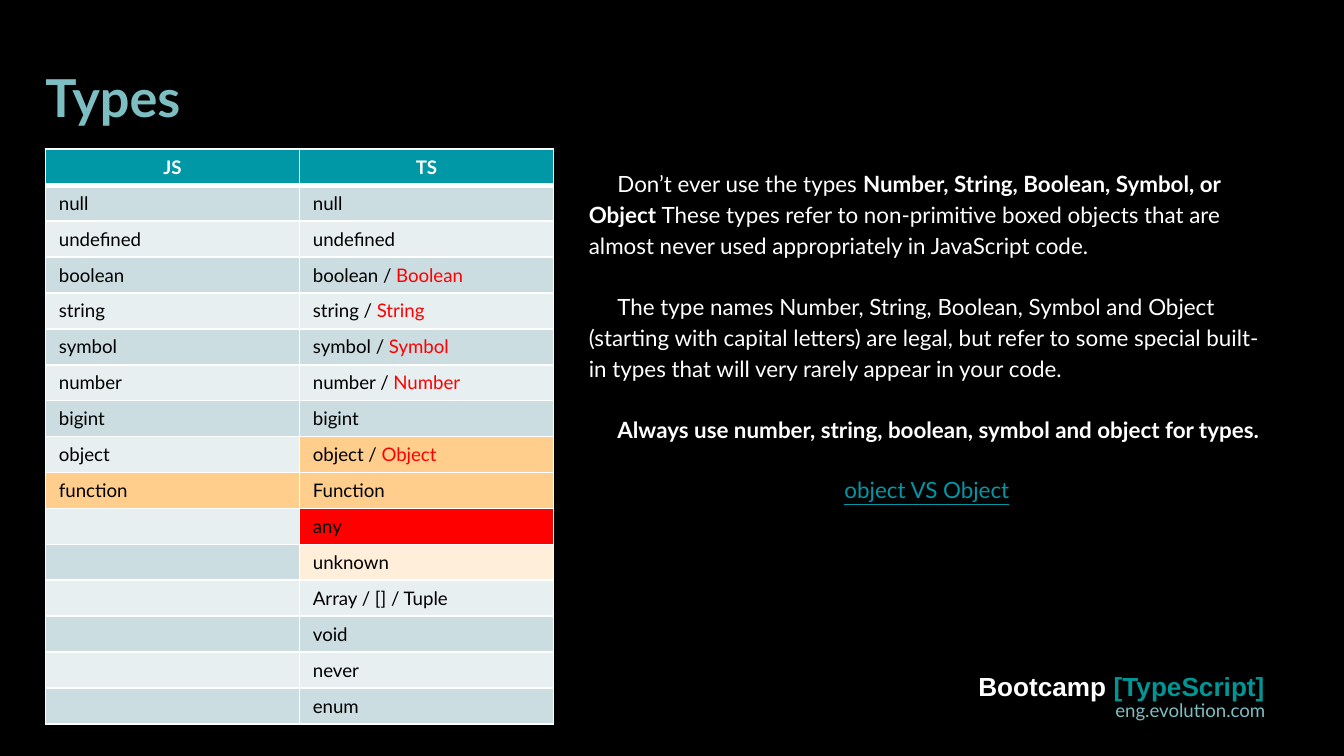
import pptx
import pptx.dml.color
import pptx.enum.text
import pptx.oxml.ns
import pptx.util
from lxml import etree
from pptx.util import Cm

ALIGN = pptx.enum.text.PP_ALIGN
COLORS = {
    "background": "000000", "black": "000000", "white": "FFFFFF",
    "heading": "7DBEC3", "teal": "0097A7", "brand": "009696", "red": "FF0000",
    "band_dark": "CCDDE1", "band_light": "E7EFF1",
    "orange": "FFCD8C", "cream": "FFEED9",
}
HEADERS = ("JS", "TS")
TYPE_ROWS = [
    ("null", "null"), ("undefined", "undefined"),
    ("boolean", "boolean / Boolean"), ("string", "string / String"),
    ("symbol", "symbol / Symbol"), ("number", "number / Number"),
    ("bigint", "bigint"), ("object", "object / Object"),
    ("function", "Function"), ("", "any"), ("", "unknown"),
    ("", "Array / [] / Tuple"), ("", "void"), ("", "never"), ("", "enum"),
]
BOXED_TYPES = {"Boolean", "String", "Symbol", "Number", "Object"}
HIGHLIGHTS = {
    "object / Object": "orange", "function": "orange", "Function": "orange",
    "any": "red", "unknown": "cream",
}
ADVICE = [
    [("Don’t ever use the types ", False),
     ("Number, String, Boolean, Symbol, or Object ", True),
     ("These types refer to non-primitive boxed objects that are "
      "almost never used appropriately in JavaScript code.", False)],
    [("The type names Number, String, Boolean, Symbol and Object "
      "(starting with capital letters) are legal, but refer to some special "
      "built-in types that will very rarely appear in your code.", False)],
    [("Always use number, string, boolean, symbol and object for types.", True)],
]


def rgb(name):
    """Return the named colour."""
    return pptx.dml.color.RGBColor.from_string(COLORS[name])


def write(paragraph, text, size=12, font="Lato", color="white", bold=False,
          underline=False, align=None):
    """Append a formatted run to a paragraph."""
    run = paragraph.add_run()
    run.text = text
    run.font.size = pptx.util.Pt(size)
    run.font.name = font
    run.font.color.rgb = rgb(color)
    run.font.bold = bold
    if underline:
        run.font.underline = True
    if align is not None:
        paragraph.alignment = align


def add_frame(slide, left, top, width, height, inset_x=0, inset_y=0):
    """Add a wrapping text box and return its text frame."""
    frame = slide.shapes.add_textbox(left, top, width, height).text_frame
    frame.word_wrap = True
    frame.margin_left = frame.margin_right = inset_x
    frame.margin_top = frame.margin_bottom = inset_y
    return frame


def set_borders(cell, top, bottom):
    """Draw white borders round a cell with the given top and bottom points."""
    properties = cell._tc.get_or_add_tcPr()
    sides = (("lnL", 1), ("lnR", 1), ("lnT", top), ("lnB", bottom))
    for position, (side, points) in enumerate(sides):
        line = etree.Element(pptx.oxml.ns.qn(f"a:{side}"), w=str(pptx.util.Pt(points)))
        fill = etree.SubElement(line, pptx.oxml.ns.qn("a:solidFill"))
        etree.SubElement(fill, pptx.oxml.ns.qn("a:srgbClr"), val=COLORS["white"])
        properties.insert(position, line)


def fill_type_cell(cell, text):
    """Write a type name, with its boxed counterpart in red."""
    paragraph = cell.text_frame.paragraphs[0]
    primitive, slash, boxed = text.rpartition(" / ")
    if boxed in BOXED_TYPES:
        write(paragraph, primitive + slash, size=10, color="black")
        write(paragraph, boxed, size=10, color="red")
    elif text:
        write(paragraph, text, size=10, color="black")
    else:
        etree.SubElement(paragraph._p, pptx.oxml.ns.qn("a:endParaRPr"), sz="1000")


def add_title(slide, left, top, width, height):
    """Place the slide title."""
    frame = add_frame(slide, left, top, width, height)
    write(frame.paragraphs[0], "Types", size=28, color="heading", bold=True)


def add_type_table(slide, left, top, width, height):
    """Place the comparison of JS and TS types."""
    rows = [HEADERS] + TYPE_ROWS
    table = slide.shapes.add_table(
        len(rows), len(HEADERS), left, top, width, height).table
    for row_index, names in enumerate(rows):
        table.rows[row_index].height = height // len(rows)
        band = "band_dark" if row_index % 2 else "band_light"
        for column, name in enumerate(names):
            cell = table.cell(row_index, column)
            cell.fill.solid()
            if row_index == 0:
                cell.fill.fore_color.rgb = rgb("teal")
                write(cell.text_frame.paragraphs[0], name, size=10, bold=True,
                      align=ALIGN.CENTER)
            else:
                cell.fill.fore_color.rgb = rgb(HIGHLIGHTS.get(name, band))
                fill_type_cell(cell, name)
            set_borders(cell, top=3 if row_index == 1 else 1,
                        bottom=3 if row_index == 0 else 1)


def add_advice(slide, left, top, width, height):
    """Place the advice on boxed types and the closing link text."""
    frame = add_frame(slide, left, top, width, height)
    for index, parts in enumerate(ADVICE):
        paragraph = frame.add_paragraph() if index else frame.paragraphs[0]
        paragraph._p.get_or_add_pPr().set("indent", str(Cm(0.54)))
        for text, bold in parts:
            write(paragraph, text, bold=bold)
    write(frame.add_paragraph(), "object VS Object", color="teal",
          underline=True, align=ALIGN.CENTER)
    for paragraph in frame.paragraphs:
        paragraph.line_spacing = 1.15
        paragraph.space_after = pptx.util.Pt(16)


def add_footer(slide, left, top, width, height):
    """Place the course name with the web address below it."""
    course = add_frame(slide, left, top, width, height - Cm(0.08),
                       Cm(0.25), Cm(0.25)).paragraphs[0]
    write(course, "Bootcamp ", size=14, font="Arial", bold=True, align=ALIGN.CENTER)
    write(course, "[TypeScript]", size=14, font="Arial", color="brand", bold=True)
    address = add_frame(slide, left + Cm(1.04), top + Cm(0.66), width - Cm(1.06),
                        height - Cm(0.66), Cm(0.25), Cm(0.13)).paragraphs[0]
    write(address, "eng.evolution.com", size=10, color="heading", align=ALIGN.RIGHT)


def main():
    """Build and save the slide."""
    deck = pptx.Presentation()
    deck.slide_width, deck.slide_height = Cm(25.4), Cm(14.29)
    slide = deck.slides.add_slide(deck.slide_layouts[6])
    slide.background.fill.solid()
    slide.background.fill.fore_color.rgb = rgb("background")
    add_title(slide, Cm(0.86), Cm(1.24), Cm(23.67), Cm(1.6))
    add_type_table(slide, Cm(0.86), Cm(2.82), Cm(9.6), Cm(10.85))
    add_advice(slide, Cm(11.13), Cm(3.15), Cm(12.78), Cm(9.25))
    add_footer(slide, Cm(18.21), Cm(12.42), Cm(5.97), Cm(1.35))
    deck.save("out.pptx")


if __name__ == "__main__":
    main()
